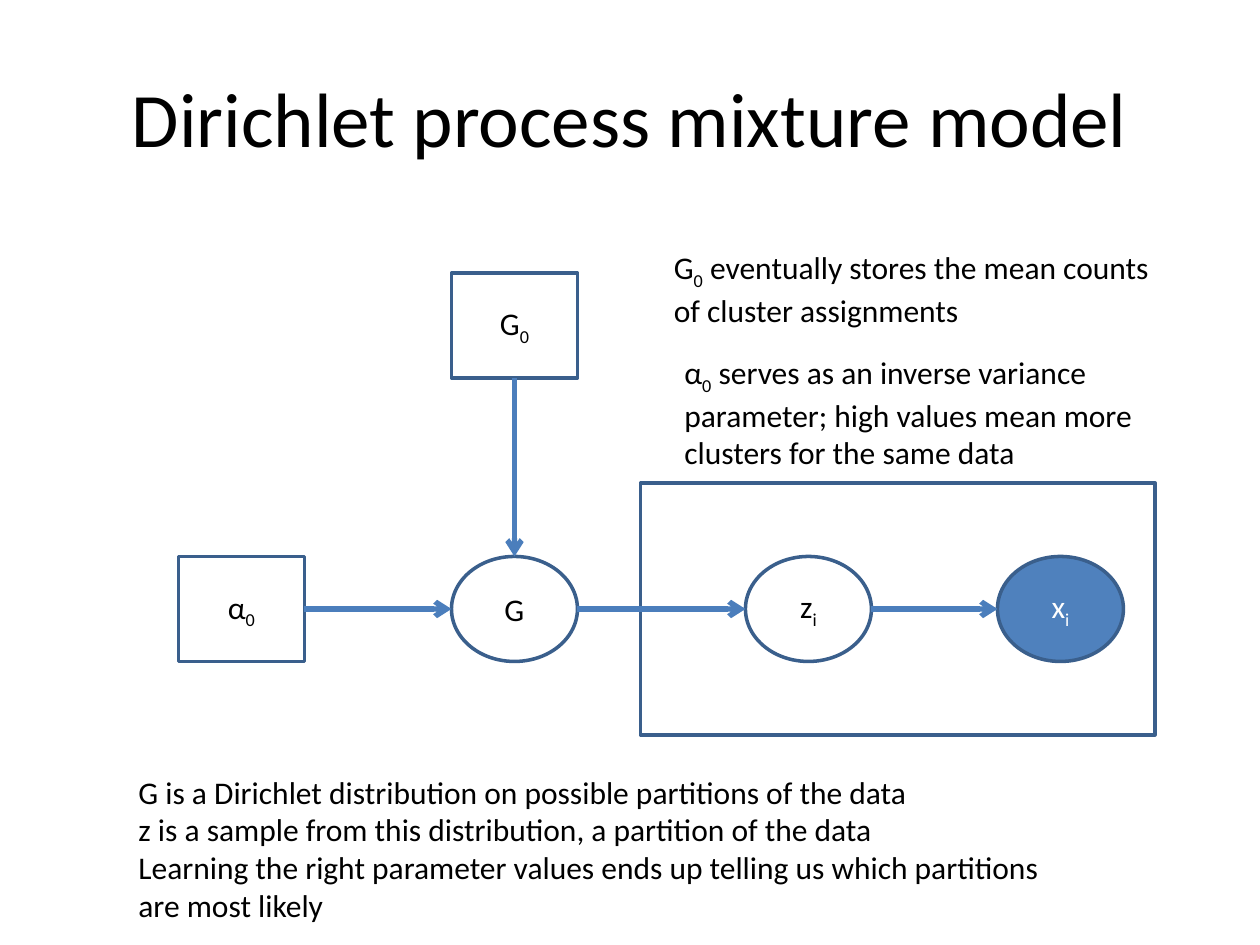
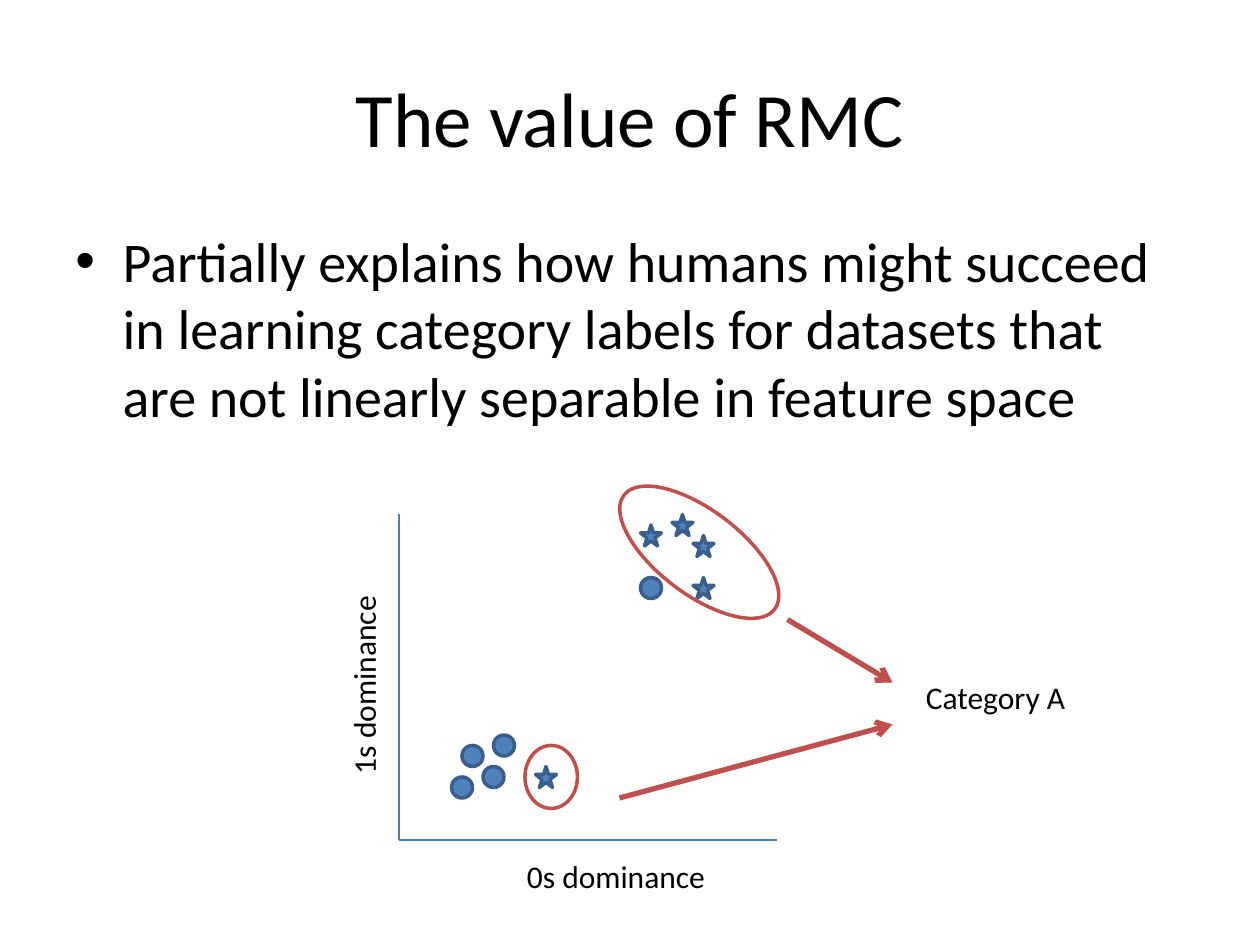
from lxml import etree
from pptx import Presentation
from pptx.dml.color import RGBColor
from pptx.enum.shapes import MSO_CONNECTOR as Connector, MSO_SHAPE as Shape
from pptx.enum.text import MSO_ANCHOR as Anchor, MSO_AUTO_SIZE as AutoSize, PP_ALIGN as Align
from pptx.oxml.ns import qn
from pptx.util import Pt

COLORS = {
    "text": "000000",
    "light": "FFFFFF",
    "fill": "4F81BD",
    "outline": "3A5F8C",
    "link": "4B7EBC",
    "highlight": "C0504D",
}
FONT = "Calibri"
TOP, LEFT, BOTTOM, RIGHT = range(4)


def color(name):
    return RGBColor.from_string(COLORS[name])


def apply(target, values):
    for name, value in values.items():
        setattr(target, name, value)


class Sketch:
    def __init__(self):
        self.deck = Presentation()
        apply(self.deck, {"slide_width": Pt(720), "slide_height": Pt(540)})
        self.page = None

    def new_page(self, title):
        self.page = self.deck.slides.add_slide(self.deck.slide_layouts[5])
        box = self.page.shapes.title
        apply(box, {"left": Pt(36), "top": Pt(21.6), "width": Pt(648), "height": Pt(90)})
        box.text_frame.vertical_anchor = Anchor.MIDDLE
        self.add_spans(box.text_frame.paragraphs[0], title, 44, align=Align.CENTER)

    def add_spans(self, para, text, size=18, ink="text", align=Align.LEFT):
        para.alignment = align
        for index, part in enumerate(text.split("_")):
            if not part:
                continue
            span = para.add_run()
            span.text = part
            apply(span.font, {"name": FONT, "size": Pt(size)})
            span.font.color.rgb = color(ink)
            if index % 2:
                span.font._element.set("baseline", "-25000")

    def text(self, place, *lines, size=18, rotation=0, bullet=False):
        box = self.page.shapes.add_textbox(*map(Pt, place))
        box.rotation = rotation
        frame = box.text_frame
        fit = AutoSize.NONE if bullet else AutoSize.SHAPE_TO_FIT_TEXT
        apply(frame, {"word_wrap": True, "auto_size": fit})
        for index, line in enumerate(lines):
            para = frame.add_paragraph() if index else frame.paragraphs[0]
            self.add_spans(para, line, size)
            if bullet:
                self.add_bullet(para)

    def add_bullet(self, para):
        props = para._p.get_or_add_pPr()
        props.set("marL", str(Pt(27)))
        props.set("indent", str(Pt(-27)))
        etree.SubElement(props, qn("a:buFont"), typeface="Arial")
        etree.SubElement(props, qn("a:buChar"), char="•")

    def shape(self, kind, place, text="", fill=None, line="outline", ink="text", rotation=0):
        box = self.page.shapes.add_shape(kind, *map(Pt, place))
        box.shadow.inherit = False
        box.rotation = rotation
        if fill:
            box.fill.solid()
            box.fill.fore_color.rgb = color(fill)
        else:
            box.fill.background()
        box.line.color.rgb = color(line)
        box.line.width = Pt(2)
        if text:
            box.text_frame.vertical_anchor = Anchor.MIDDLE
            self.add_spans(box.text_frame.paragraphs[0], text, ink=ink, align=Align.CENTER)
        return box

    def line(self, start, end, ink="link", width=3, arrow=True, source=None, side=None):
        link = self.page.shapes.add_connector(Connector.STRAIGHT, *map(Pt, start + end))
        link.line.color.rgb = color(ink)
        link.line.width = Pt(width)
        if arrow:
            etree.SubElement(link.line._get_or_add_ln(), qn("a:tailEnd"), type="arrow")
        etree.SubElement(link._element.spPr, qn("a:effectLst"))
        if source is not None:
            link.begin_connect(source, side)


def build_model(sketch):
    sketch.new_page("Dirichlet process mixture model")
    width, height = 72, 60
    row = 318
    middle = row + height / 2
    alpha_x, g_x, z_x, x_x = 102, 258, 426, 570
    prior_y = 156
    g_center = g_x + width / 2

    sketch.shape(Shape.RECTANGLE, (366, 276, 294, 144))
    sketch.shape(Shape.OVAL, (x_x, row, width, height), "x_i", fill="fill", ink="light")
    sketch.shape(Shape.OVAL, (z_x, row, width, height), "z_i")
    sketch.shape(Shape.OVAL, (g_x, row, width, height), "G")
    prior = sketch.shape(Shape.RECTANGLE, (g_x, prior_y, width, height), "G_0")
    alpha = sketch.shape(Shape.RECTANGLE, (alpha_x, row, width, height), "α_0")

    sketch.line((alpha_x + width, middle), (g_x, middle), source=alpha, side=RIGHT)
    sketch.line((g_center, prior_y + height), (g_center, row), source=prior, side=BOTTOM)
    for left, right in ((g_x, z_x), (z_x, x_x)):
        sketch.line((left + width, middle), (right, middle))

    sketch.text(
        (72, 438, 552, 94.5),
        "G is a Dirichlet distribution on possible partitions of the data",
        "z is a sample from this distribution, a partition of the data",
        "Learning the right parameter values ends up telling us which partitions are most likely",
    )
    sketch.text((378, 138, 288, 51),
                "G_0_ eventually stores the mean counts of cluster assignments")
    sketch.text((384, 198, 288, 72.7),
                "α_0_ serves as an inverse variance parameter; "
                "high values mean more clusters for the same data")


def build_value(sketch):
    sketch.new_page("The value of RMC")
    sketch.text((36, 126, 648, 356.4),
                "Partially explains how humans might succeed in learning category labels "
                "for datasets that are not linearly separable in feature space",
                size=32, bullet=True)

    origin = (228, 480)
    for axis_end in ((444, 480), (228, 294)):
        sketch.line(origin, axis_end, width=0.75, arrow=False)

    points = {
        Shape.OVAL: ((264, 426), (276, 438), (282, 420), (258, 444), (366, 330)),
        Shape.STAR_5_POINT: ((384, 294), (396, 306), (396, 330), (366, 300), (306, 438)),
    }
    for kind, places in points.items():
        for place in places:
            sketch.shape(kind, place + (12, 12), fill="fill")

    sketch.text((147.6, 375.1, 120, 28.8), "1s dominance", rotation=270)
    sketch.text((294, 486, 120, 28.8), "0s dominance")
    sketch.shape(Shape.OVAL, (345.6, 291.6, 108, 48), line="highlight", rotation=37.1)
    sketch.shape(Shape.OVAL, (300, 426, 30, 36), line="highlight")
    for start, end in (((450, 354), (510, 390)), ((354, 456), (510, 414))):
        sketch.line(start, end, ink="highlight")
    sketch.text((522, 384, 102, 28.8), "Category A")


def main():
    sketch = Sketch()
    build_model(sketch)
    build_value(sketch)
    sketch.deck.save("out.pptx")


if __name__ == "__main__":
    main()
